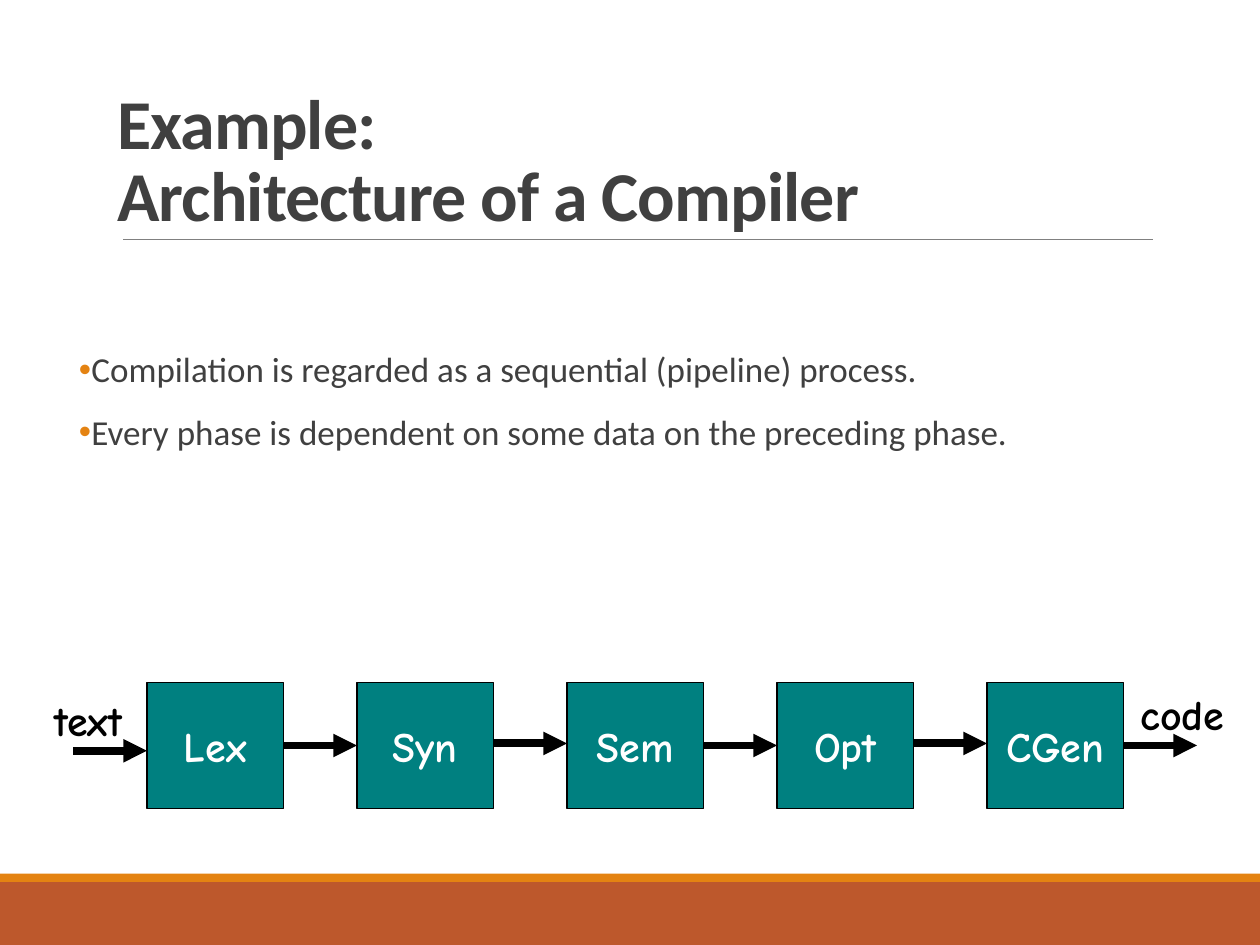
from typing import NamedTuple

from lxml.etree import SubElement
from pptx import Presentation
from pptx.dml.color import RGBColor
from pptx.enum.shapes import MSO_CONNECTOR as Line, MSO_SHAPE as Shape
from pptx.enum.text import MSO_ANCHOR as Anchor, PP_ALIGN as Align
from pptx.oxml import parse_xml
from pptx.oxml.ns import nsdecls, qn
from pptx.util import Inches, Pt

COLS, ROWS = 120, 90
STEP, SIDE, GAP = 20, 13, 7
LEFT, TOP, HIGH = 14, 65, 12
SANS, HAND = "Calibri", "Comic Neue"
INK, BLACK, WHITE = "404040", "000000", "FFFFFF"
TEAL, RUST, GOLD, GREY = "008080", "BD582C", "E48312", "808080"

deck = Presentation()
deck.slide_width, deck.slide_height = Inches(10), Inches(7.5)
slide = deck.slides.add_slide(deck.slide_layouts[6])


class Area(NamedTuple):
    """A block of grid cells."""
    col: float
    row: float
    wide: float
    high: float


class Label(NamedTuple):
    """A word at one end of the pipeline."""
    text: str
    area: Area


PHASES = ["Lex", "Syn", "Sem", "Opt", "CGen"]
FLOWS = [71.5, 71, 70.8, 71, 70.8, 71]
LABELS = [
    Label("text", Area(3, 65.5, 10.8, 6)),
    Label("code", Area(107, 65, 11.2, 6)),
]
POINTS = [
    "Compilation is regarded as a sequential (pipeline) process.",
    "Every phase is dependent on some data on the preceding phase.",
]


def hue(code: str) -> RGBColor:
    """Turn a hex string into a colour."""
    return RGBColor.from_string(code)


def across(col: float) -> int:
    """Give the distance of a column from the left edge."""
    return round(deck.slide_width * col / COLS)


def down(row: float) -> int:
    """Give the distance of a row from the top edge."""
    return round(deck.slide_height * row / ROWS)


def place(area: Area) -> tuple[int, int, int, int]:
    """Give left, top, width and height of an area."""
    return across(area.col), down(area.row), across(area.wide), down(area.high)


def style(para, face: str, size: float, code: str, bold: bool = False) -> None:
    """Set the font of a paragraph."""
    font = para.font
    font.name, font.size, font.bold = face, Pt(size), bold
    font.color.rgb = hue(code)


def word(frame, text: str, code: str) -> None:
    """Write one centred word of the pipeline."""
    frame.word_wrap, frame.vertical_anchor = False, Anchor.MIDDLE
    para = frame.paragraphs[0]
    para.text, para.alignment = text, Align.CENTER
    style(para, HAND, 24, code, True)


def block(area: Area, code: str):
    """Draw a filled rectangle without an outline."""
    box = slide.shapes.add_shape(Shape.RECTANGLE, *place(area))
    box.shadow.inherit = False
    box.fill.solid()
    box.fill.fore_color.rgb = hue(code)
    box.line.fill.background()
    return box


def phase(text: str, area: Area) -> None:
    """Draw one phase of the compiler."""
    box = block(area, TEAL)
    box.line.color.rgb, box.line.width = hue(BLACK), Pt(1)
    word(box.text_frame, text, WHITE)


def rule(start: float, end: float, row: float, code: str, width: float,
         head: bool = False) -> None:
    """Draw a level line, with an arrowhead if wanted."""
    link = slide.shapes.add_connector(
        Line.STRAIGHT, across(start), down(row), across(end), down(row))
    link.line.color.rgb, link.line.width = hue(code), Pt(width)
    if head:
        SubElement(link.line._get_or_add_ln(), qn("a:tailEnd"), type="triangle")
    SubElement(link._element.spPr, qn("a:effectLst"))


def title(text: str, area: Area) -> None:
    """Write the heading of the slide."""
    frame = slide.shapes.add_textbox(*place(area)).text_frame
    frame.word_wrap, frame.vertical_anchor = True, Anchor.BOTTOM
    para = frame.paragraphs[0]
    para.text, para.line_spacing = text, 0.85
    style(para, SANS, 40, INK, True)
    para._p.pPr.defRPr.set("spc", "-50")


def bullet(para) -> None:
    """Give a paragraph a hanging coloured bullet."""
    props = para._p.get_or_add_pPr()
    props.set("marL", str(Inches(0.1)))
    props.set("indent", str(-Inches(0.1)))
    for xml in (
        f'<a:buClr {nsdecls("a")}><a:srgbClr val="{GOLD}"/></a:buClr>',
        f'<a:buFont {nsdecls("a")} typeface="Arial"/>',
        f'<a:buChar {nsdecls("a")} char="•"/>',
    ):
        props.defRPr.addprevious(parse_xml(xml))


def body(points: list[str], area: Area) -> None:
    """Write the bulleted points."""
    frame = slide.shapes.add_textbox(*place(area)).text_frame
    frame.word_wrap = True
    frame.margin_left = frame.margin_right = 0
    frame.text = "\n".join(points)
    for para in frame.paragraphs:
        para.alignment, para.line_spacing = Align.JUSTIFY, 0.9
        para.space_before, para.space_after = Pt(12), Pt(2)
        style(para, SANS, 20, INK)
        bullet(para)


def main() -> None:
    """Build the slide and save it."""
    block(Area(0, 84, COLS, 6), RUST)
    block(Area(0, 83.2, COLS, 0.8), GOLD)
    rule(11.75, 109.8, 22.8, GREY, 0.5)
    title("Example: \vArchitecture of a Compiler", Area(10, 7, 93, 16))
    body(POINTS, Area(7.5, 33, 108.6, 46))
    for i, text in enumerate(PHASES):
        phase(text, Area(LEFT + i * STEP, TOP, SIDE, HIGH))
    for label in LABELS:
        frame = slide.shapes.add_textbox(*place(label.area)).text_frame
        word(frame, label.text, BLACK)
    for i, row in enumerate(FLOWS):
        end = LEFT + i * STEP
        rule(end - GAP, end, row, BLACK, 4.5, True)
    deck.save("out.pptx")


if __name__ == "__main__":
    main()
